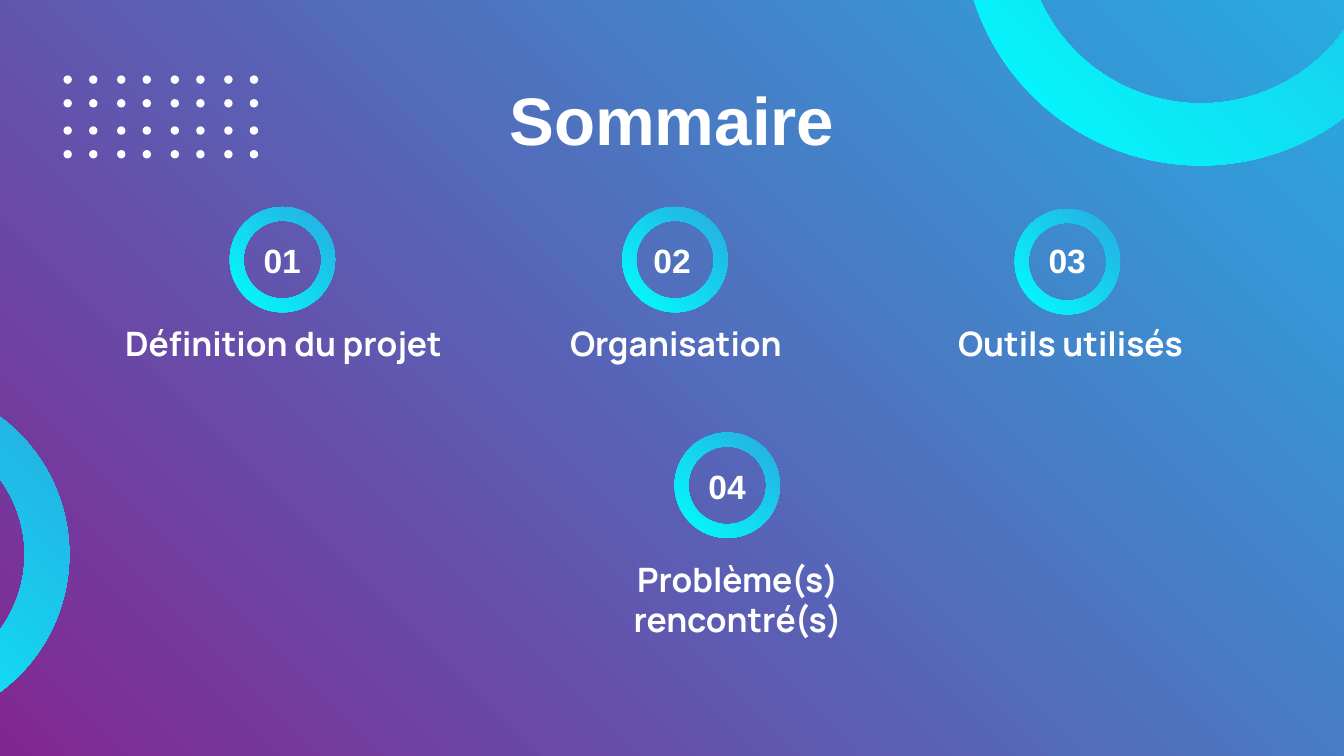
from pptx import Presentation
from pptx.dml.color import RGBColor
from pptx.enum.shapes import MSO_SHAPE as Shape
from pptx.enum.text import MSO_ANCHOR as Anchor, PP_ALIGN as Align
from pptx.util import Pt

PURPLE = RGBColor(0x81, 0x27, 0x92)
BLUE = RGBColor(0x29, 0xAA, 0xE1)
CYAN = RGBColor(0x00, 0xFF, 0xFF)
WHITE = RGBColor(0xFF, 0xFF, 0xFF)

prs = Presentation()
prs.slide_width, prs.slide_height = Pt(720), Pt(405)
slide = prs.slides.add_slide(prs.slide_layouts[5])


def add_ring(left, top, size):
    ring = slide.shapes.add_shape(Shape.DONUT, Pt(left), Pt(top), Pt(size), Pt(size))
    ring.adjustments[0] = 0.13
    ring.rotation = 180
    ring.shadow.inherit = False
    ring.line.fill.background()
    ring.fill.gradient()
    ring.fill.gradient_angle = 225
    for stop, color in zip(ring.fill.gradient_stops, (CYAN, BLUE)):
        stop.color.rgb = color


def write(box, text, font_name, size, anchor):
    """Fill a box with one centred, bold white paragraph."""
    frame = box.text_frame
    frame.text = text
    frame.word_wrap = True
    frame.vertical_anchor = anchor
    frame.margin_left = frame.margin_right = Pt(7.2)
    frame.margin_top = frame.margin_bottom = Pt(7.2)
    paragraph = frame.paragraphs[0]
    paragraph.alignment = Align.CENTER
    font = paragraph.runs[0].font
    font.name, font.size, font.bold = font_name, Pt(size), True
    font.color.rgb = WHITE


# Background and corner rings
background = slide.background.fill
background.gradient()
background.gradient_angle = 45
for stop, color in zip(background.gradient_stops, (PURPLE, BLUE)):
    stop.color.rgb = color

add_ring(515.5, -167, 255.6)
add_ring(-146.5, 205.2, 183.6)

# Dot grid: columns and rows come in pairs
for row in range(4):
    for column in range(8):
        left = 34 + column // 2 * 28.7 + column % 2 * 13.7
        top = 40.4 + row // 2 * 27.3 + row % 2 * 12.7
        dot = slide.shapes.add_shape(Shape.OVAL, Pt(left), Pt(top), Pt(4.5), Pt(4.5))
        dot.shadow.inherit = False
        dot.fill.solid()
        dot.fill.fore_color.rgb = WHITE
        dot.line.fill.background()

title = slide.shapes.title
title.left, title.top, title.width, title.height = Pt(167), Pt(34.6), Pt(386), Pt(41.8)
write(title, "Sommaire", "Arial", 36, Anchor.TOP)

# Number, its box; label, its box; ring corner
sections = [
    ("01", 96.5, 106.6, "Définition du projet", 56.9, 162.7, 190, 123.1, 110.9),
    ("02", 305.3, 106.6, "Organisation", 267.1, 162.7, 190, 333.4, 110.9),
    ("03", 517, 106.6, "Outils utilisés", 467.3, 162.7, 212.4, 543.6, 112),
    ("04", 334.8, 227.5, "Problème(s) rencontré(s)", 300.2, 300.2, 190, 361.4, 231.8),
]
for (number, number_left, number_top, label, label_left, label_top, label_width,
     ring_left, ring_top) in sections:
    number_box = slide.shapes.add_textbox(
        Pt(number_left), Pt(number_top), Pt(109.4), Pt(65.5))
    write(number_box, number, "Arial", 18, Anchor.MIDDLE)
    label_box = slide.shapes.add_textbox(
        Pt(label_left), Pt(label_top), Pt(label_width), Pt(41.8))
    write(label_box, label, "Manrope", 18, Anchor.MIDDLE)
    add_ring(ring_left, ring_top, 56.4)

prs.save("out.pptx")
